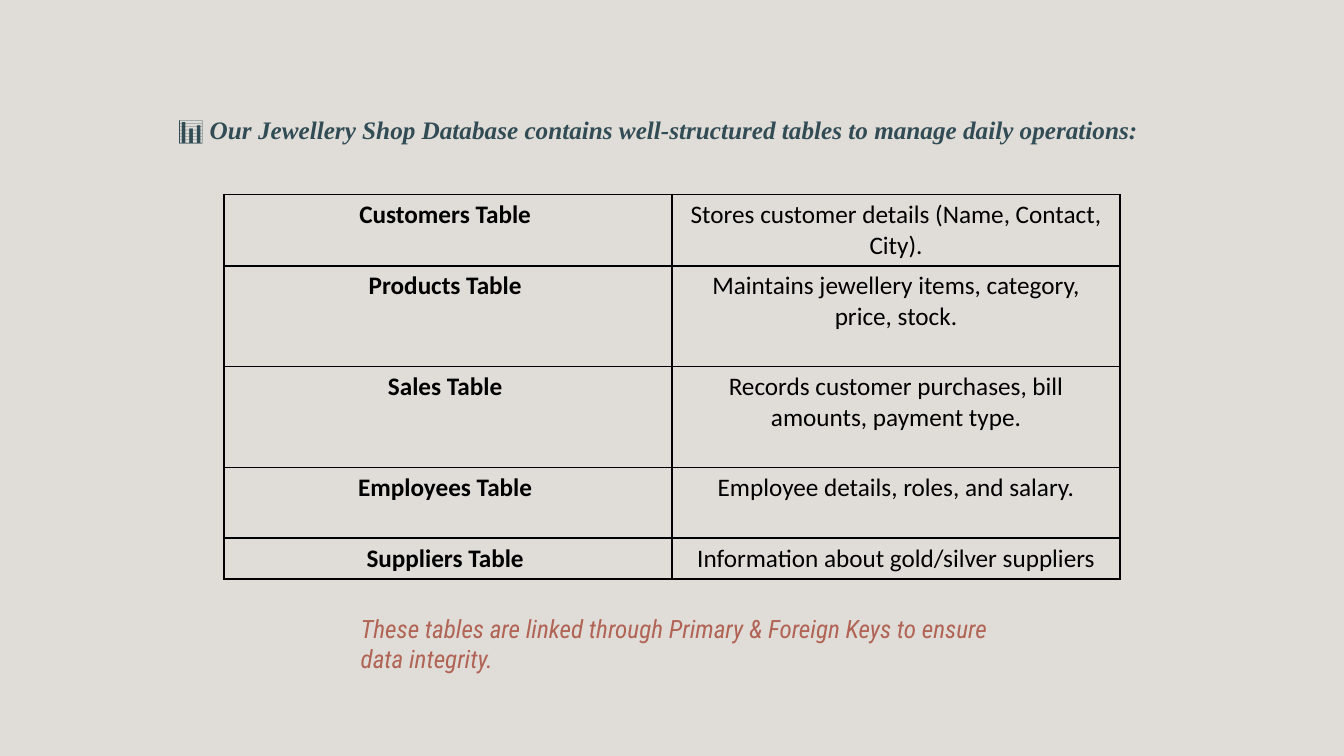
from dataclasses import dataclass

from lxml.etree import SubElement
from pptx import Presentation
from pptx.dml.color import RGBColor
from pptx.enum.text import MSO_ANCHOR as Anchor, MSO_AUTO_SIZE as AutoSize, PP_ALIGN as Align
from pptx.oxml.ns import qn
from pptx.slide import Slide
from pptx.table import _Cell as Cell
from pptx.text.text import Font, TextFrame
from pptx.util import Emu, Inches, Pt

SLIDE_WIDTH, SLIDE_HEIGHT = Inches(13.33), Inches(7.5)
LINE_HEIGHT, ROW_PADDING = Inches(0.3), Inches(0.1)

BACKGROUND = RGBColor(0xE0, 0xDD, 0xD8)
TEAL = RGBColor(0x32, 0x4C, 0x55)
RUST = RGBColor(0xB1, 0x64, 0x55)
BLACK = RGBColor(0x00, 0x00, 0x00)


@dataclass(frozen=True)
class Area:
    """A rectangle in percent of the slide's width and height."""
    left: float
    top: float
    width: float
    height: float

    def lengths(self) -> tuple[Emu, Emu, Emu, Emu]:
        return (Emu(int(SLIDE_WIDTH * self.left / 100)),
                Emu(int(SLIDE_HEIGHT * self.top / 100)),
                Emu(int(SLIDE_WIDTH * self.width / 100)),
                Emu(int(SLIDE_HEIGHT * self.height / 100)))


@dataclass(frozen=True)
class DatabaseTable:
    name: str
    purpose: str
    lines: int


TITLE_AREA = Area(12.5, 14.5, 74.3, 9.5)
TABLE_AREA = Area(16.67, 25.7, 66.67, 50.8)
NOTE_AREA = Area(26.1, 80.5, 49.5, 9.5)

DATABASE_TABLES = (
    DatabaseTable("Customers Table ", "Stores customer details (Name, Contact, City).", 2),
    DatabaseTable("Products Table ", "Maintains jewellery items, category, price, stock.", 3),
    DatabaseTable("Sales Table ", "Records customer purchases, bill amounts, payment type.", 3),
    DatabaseTable("Employees Table ", "Employee details, roles, and salary.", 2),
    DatabaseTable("Suppliers Table ", "Information about gold/silver suppliers", 1),
)


def style_font(font: Font, name: str, color: RGBColor, bold: bool = False) -> None:
    font.name, font.size, font.bold = name, Pt(18), bold
    font.color.rgb = color


def set_up_frame(frame: TextFrame) -> None:
    frame.word_wrap = True
    frame.auto_size = AutoSize.NONE
    frame.vertical_anchor = Anchor.TOP


def add_title(slide: Slide) -> None:
    title = slide.shapes.title
    title.left, title.top, title.width, title.height = TITLE_AREA.lengths()
    set_up_frame(title.text_frame)
    para = title.text_frame.paragraphs[0]
    para.alignment = Align.LEFT
    style_font(para.font, "Times New Roman", TEAL, bold=True)
    para.add_run().text = "📊 "
    sentence = para.add_run()
    sentence.text = "Our Jewellery Shop Database contains well-structured tables to manage daily operations:"
    sentence.font.italic = True


def add_borders(cell: Cell) -> None:
    properties = cell._tc.get_or_add_tcPr()
    for side in ("a:lnL", "a:lnR", "a:lnT", "a:lnB"):
        line = SubElement(properties, qn(side), w=str(Pt(1)))
        fill = SubElement(line, qn("a:solidFill"))
        SubElement(fill, qn("a:srgbClr"), val=str(BLACK))


def fill_cell(cell: Cell, text: str, bold: bool) -> None:
    add_borders(cell)
    cell.fill.background()
    cell.text = text
    para = cell.text_frame.paragraphs[0]
    para.alignment = Align.CENTER
    style_font(para.font, "Calibri", BLACK, bold)


def add_database_tables(slide: Slide) -> None:
    frame = slide.shapes.add_table(len(DATABASE_TABLES), 2, *TABLE_AREA.lengths())
    table = frame.table
    table.first_row = table.horz_banding = False
    for index, entry in enumerate(DATABASE_TABLES):
        table.rows[index].height = entry.lines * LINE_HEIGHT + ROW_PADDING
        fill_cell(table.cell(index, 0), entry.name, bold=True)
        fill_cell(table.cell(index, 1), entry.purpose, bold=False)


def add_note(slide: Slide) -> None:
    box = slide.shapes.add_textbox(*NOTE_AREA.lengths())
    set_up_frame(box.text_frame)
    para = box.text_frame.paragraphs[0]
    para.text = "These tables are linked through Primary & Foreign Keys to ensure data integrity."
    style_font(para.font, "Roboto Condensed", RUST)
    para.font.italic = True


def main() -> None:
    deck = Presentation()
    deck.slide_width, deck.slide_height = SLIDE_WIDTH, SLIDE_HEIGHT
    slide = deck.slides.add_slide(deck.slide_layouts.get_by_name("Title Only"))
    slide.background.fill.solid()
    slide.background.fill.fore_color.rgb = BACKGROUND
    add_title(slide)
    add_database_tables(slide)
    add_note(slide)
    deck.save("out.pptx")


if __name__ == "__main__":
    main()
